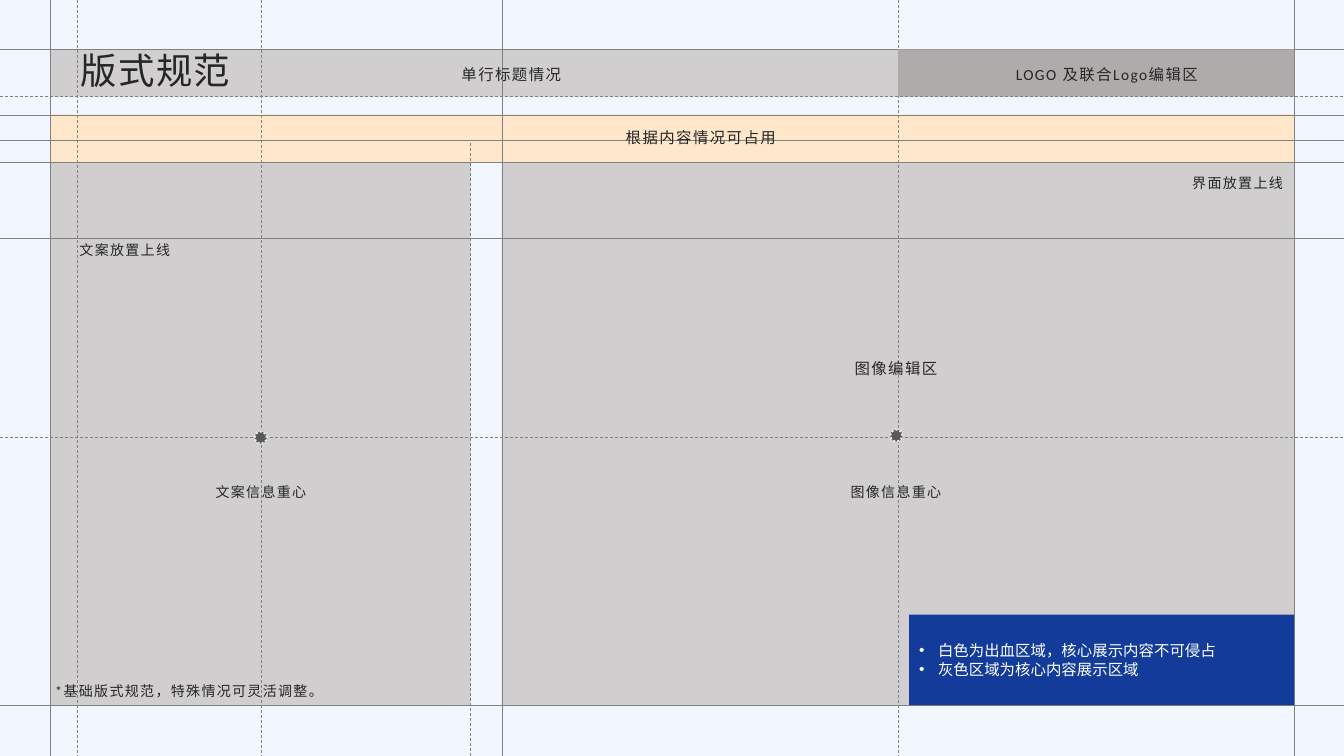
import pptx
import pptx.util
import pptx.dml.color
import pptx.enum.dml
import pptx.enum.shapes
import pptx.enum.text
import pptx.oxml.xmlchemy

Pt = pptx.util.Pt
RGB = pptx.dml.color.RGBColor.from_string
SHAPE = pptx.enum.shapes.MSO_SHAPE
DASH = pptx.enum.dml.MSO_LINE
ANCHOR = pptx.enum.text.MSO_ANCHOR
FIT = pptx.enum.text.MSO_AUTO_SIZE
ALIGN = pptx.enum.text.PP_ALIGN
Element = pptx.oxml.xmlchemy.OxmlElement

COLORS = {
    "page": "F2F6FE", "optional": "FFE7CC", "content": "D0CECE", "logo": "AFABAB",
    "note": "133C9A", "guide": "808080", "dot": "595959", "ring": "E7E6E6",
    "text": "262626", "white": "FFFFFF",
}
FONT = "Calibri"
WIDTH, HEIGHT = 960, 540
LEFT, RIGHT = 36, 924.48
TOP, HEADER_BOTTOM, BAND_TOP, BODY_TOP, BOTTOM = 35.28, 69.12, 81.72, 115.92, 503.64
COPY_RIGHT, IMAGE_LEFT, LOGO_LEFT, NOTE_LEFT = 336.24, 358.56, 641.52, 649.44
COPY_CENTER, MIDDLE = 186.48, 312.48

deck = pptx.Presentation()
deck.slide_width, deck.slide_height = Pt(WIDTH), Pt(HEIGHT)
page = deck.slides.add_slide(deck.slide_layouts[6])
page.background.fill.solid()
page.background.fill.fore_color.rgb = RGB(COLORS["page"])


def add_block(kind, left, top, right, bottom, color):
    block = page.shapes.add_shape(kind, Pt(left), Pt(top), Pt(right - left), Pt(bottom - top))
    block.shadow.inherit = False
    block.fill.solid()
    block.fill.fore_color.rgb = RGB(COLORS[color])
    block.line.fill.background()
    return block


def add_guide(axis, position, dashed, start=0):
    if axis == "x":
        ends = (position, start, position, HEIGHT)
    else:
        ends = (start, position, WIDTH, position)
    guide = page.shapes.add_connector(
        pptx.enum.shapes.MSO_CONNECTOR.STRAIGHT, *[Pt(value) for value in ends])
    guide.line.color.rgb = RGB(COLORS["guide"])
    guide.line.width = Pt(0.5)
    if dashed:
        guide.line.dash_style = DASH.DASH
    guide._element.spPr.append(Element("a:effectLst"))


for left, top, right, bottom, color in [
    (LEFT, BAND_TOP, RIGHT, BODY_TOP, "optional"),
    (LEFT, TOP, NOTE_LEFT, HEADER_BOTTOM, "content"),
    (LEFT, BODY_TOP, COPY_RIGHT, BOTTOM, "content"),
    (IMAGE_LEFT, BODY_TOP, RIGHT, BOTTOM, "content"),
]:
    add_block(SHAPE.RECTANGLE, left, top, right, bottom, color)

for axis, position, dashed, start in [
    ("y", TOP, False, 0),
    ("x", LEFT, False, 0),
    ("x", RIGHT, False, 0),
    ("y", BOTTOM, False, 0),
    ("x", IMAGE_LEFT, False, 0),
    ("y", 100.08, False, 0),
    ("x", COPY_RIGHT, True, 102.24),
    ("y", BODY_TOP, False, 0),
    ("y", 169.92, False, 0),
    ("x", 55.44, True, 0),
    ("x", COPY_CENTER, True, 0),
    ("y", MIDDLE, True, 0),
    ("x", LOGO_LEFT, True, 0),
]:
    add_guide(axis, position, dashed, start)

for left, top in [(635.9, 306.8), (181.9, 308.2)]:
    dot = add_block(SHAPE.OVAL, left, top, left + 8.64, top + 8.64, "dot")
    dot.line.color.rgb = RGB(COLORS["ring"])
    dot.line.width = Pt(1.5)
    dot.line.dash_style = DASH.ROUND_DOT

note = add_block(SHAPE.RECTANGLE, NOTE_LEFT, 439, RIGHT, BOTTOM, "note")
note.text_frame.text = "白色为出血区域，核心展示内容不可侵占\n灰色区域为核心内容展示区域"
note.text_frame.vertical_anchor = ANCHOR.MIDDLE
for para in note.text_frame.paragraphs:
    para.alignment = ALIGN.LEFT
    properties = para._p.get_or_add_pPr()
    properties.set("marL", str(Pt(13.5)))
    properties.set("indent", str(-Pt(13.5)))
    bullet_font = Element("a:buFont")
    bullet_font.set("typeface", "Arial")
    bullet = Element("a:buChar")
    bullet.set("char", "•")
    properties.extend([bullet_font, bullet])
    for span in para.runs:
        span.font.name = FONT
        span.font.size = Pt(11)
        span.font.color.rgb = RGB(COLORS["white"])

add_block(SHAPE.RECTANGLE, LOGO_LEFT, TOP, RIGHT, HEADER_BOTTOM, "logo")
add_guide("y", HEADER_BOTTOM, True)
add_guide("y", 82.08, False)

for text, left, top, width, height, size, wrap in [
    ("版式规范", 50.4, 33.84, 578.16, 36.72, 26, True),
    ("根据内容情况可占用", 439.92, 87.84, 129.6, 20.88, 11, True),
    ("图像编辑区", 603.36, 252.72, 74.88, 20.88, 11, False),
    ("文案放置上线", 49.68, 169.2, 81.36, 19.44, 10, False),
    ("界面放置上线", 844.56, 120.96, 81.36, 19.44, 10, False),
    ("图像信息重心", 600.48, 342, 81.36, 19.44, 10, False),
    ("文案信息重心", 146.88, 342, 81.36, 19.44, 10, True),
    ("LOGO 及联合Logo编辑区", 718.56, 43.2, 151.2, 20.88, 11, False),
    ("单行标题情况", 322.56, 43.2, 87.12, 20.88, 11, False),
    ("*基础版式规范，特殊情况可灵活调整。", 32.4, 483.84, 208.8, 19.44, 10, False),
]:
    box = page.shapes.add_textbox(Pt(left), Pt(top), Pt(width), Pt(height))
    frame = box.text_frame
    frame.text = text
    frame.word_wrap = wrap
    para = frame.paragraphs[0]
    if size == 26:
        frame.vertical_anchor = ANCHOR.MIDDLE
        para.line_spacing = 0.9
    else:
        frame.auto_size = FIT.SHAPE_TO_FIT_TEXT
    span = para.runs[0]
    span.font.name = FONT
    span.font.size = Pt(size)
    span.font.color.rgb = RGB(COLORS["text"])
    span._r.get_or_add_rPr().set("spc", "100")

deck.save("out.pptx")
